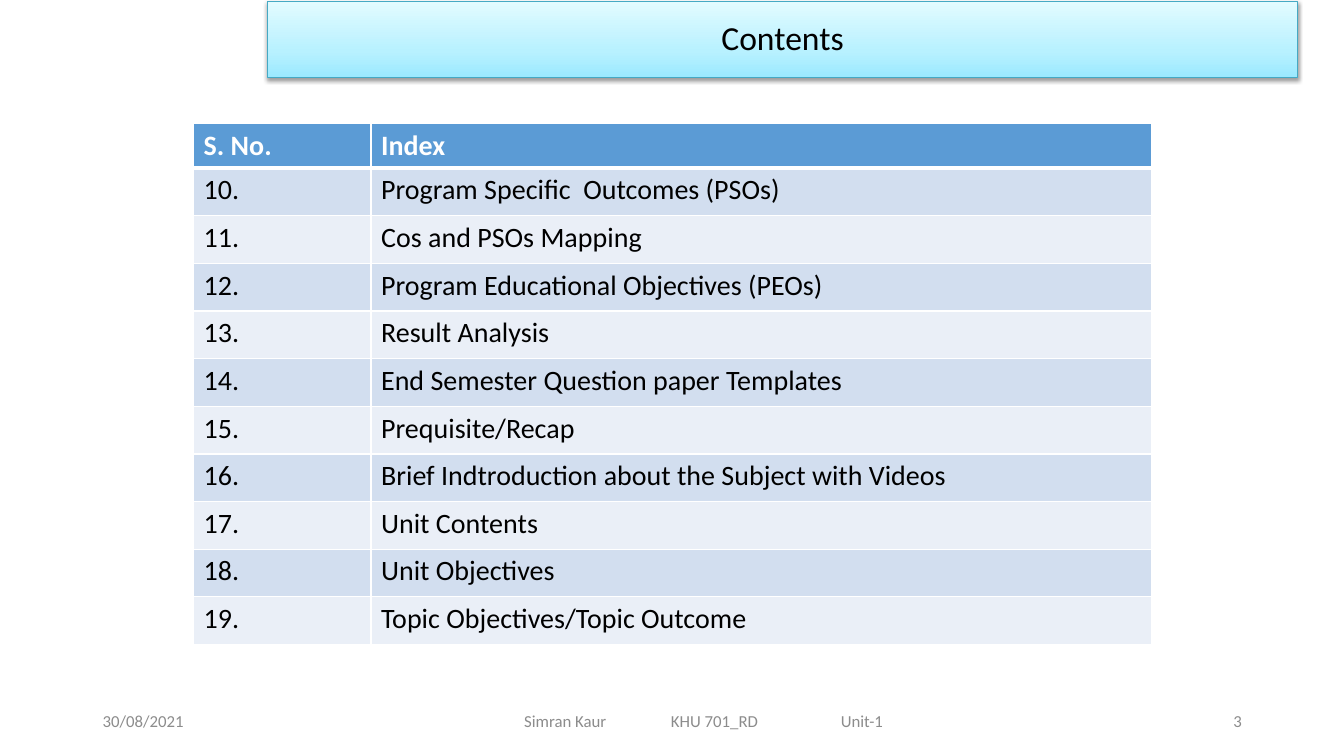
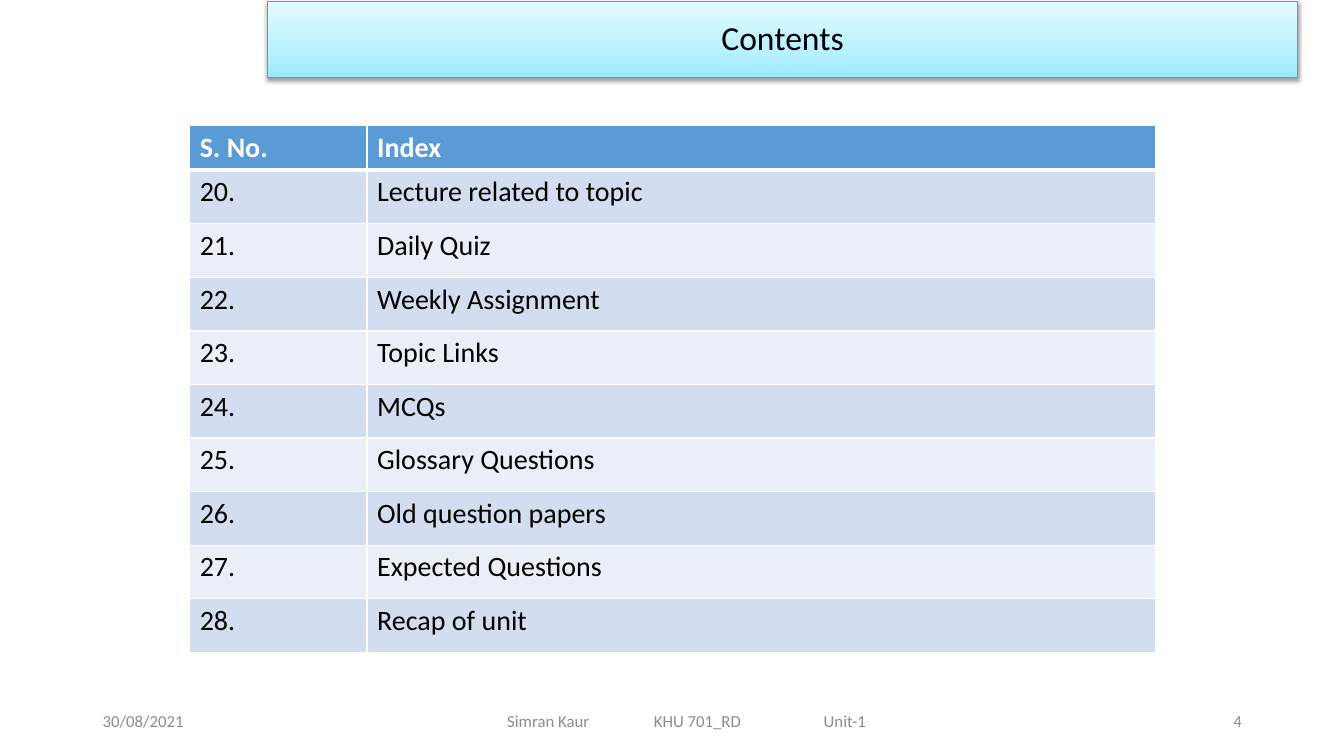
from pptx import Presentation
from pptx.dml.color import RGBColor
from pptx.enum.text import MSO_ANCHOR, MSO_AUTO_SIZE, PP_ALIGN
from pptx.oxml import parse_xml
from pptx.oxml.ns import nsdecls
from pptx.util import Cm, Pt

LEFT, CENTER, RIGHT = PP_ALIGN.LEFT, PP_ALIGN.CENTER, PP_ALIGN.RIGHT
MIDDLE = MSO_ANCHOR.MIDDLE
NO_AUTOFIT = MSO_AUTO_SIZE.NONE

FONT = "Calibri"
WHITE = RGBColor(0xFF, 0xFF, 0xFF)
BLACK = RGBColor(0x00, 0x00, 0x00)
GRAY = RGBColor(0x8C, 0x8C, 0x8C)
HEADER_BLUE = RGBColor(0x5B, 0x9B, 0xD5)
ROW_FILLS = (RGBColor(0xD2, 0xDE, 0xEF), RGBColor(0xEA, 0xEF, 0xF7))
BAND_EDGE = RGBColor(0x45, 0xA9, 0xC4)
BAND_STOPS = (
    (0, RGBColor(0x9B, 0xE9, 0xFF)),
    (35, RGBColor(0xB8, 0xF1, 0xFF)),
    (100, RGBColor(0xE2, 0xFB, 0xFF)),
)

TITLE = "Contents"
HEADINGS = ("S. No.", "Index")
DATE = "30/08/2021"
FOOTER_PARTS = ("Simran Kaur", "KHU 701_RD", "Unit-1")
FOOTER_TABS = (Cm(3.7), Cm(7.98))
FOOTER_INDENT = Cm(4.32)
NUMBER_COLUMN = Cm(4.47)

PAGES = [
    {
        "page": 3,
        "first_number": 10,
        "topics": [
            "Program Specific  Outcomes (PSOs)",
            "Cos and PSOs Mapping",
            "Program Educational Objectives (PEOs)",
            "Result Analysis",
            "End Semester Question paper Templates",
            "Prequisite/Recap",
            "Brief Indtroduction about the Subject with Videos",
            "Unit Contents",
            "Unit Objectives",
            "Topic Objectives/Topic Outcome",
        ],
        "table": (Cm(4.88), Cm(3.12), Cm(24.13)),
        "row_heights": (Cm(1.1), Cm(1.2)),
        "footer": (Cm(8.89), Cm(17.78)),
    },
    {
        "page": 4,
        "first_number": 20,
        "topics": [
            "Lecture related to topic",
            "Daily Quiz",
            "Weekly Assignment",
            "Topic Links",
            "MCQs",
            "Glossary Questions",
            "Old question papers",
            "Expected Questions",
            "Recap of unit",
        ],
        "table": (Cm(4.78), Cm(3.16), Cm(24.33)),
        "row_heights": (Cm(1.13), Cm(1.35)),
        "footer": (Cm(8.46), Cm(17.58)),
    },
]


def add_run(paragraph, text, size, color, bold=False):
    run = paragraph.add_run()
    run.text = text
    run.font.name = FONT
    run.font.size = Pt(size)
    run.font.color.rgb = color
    run.font.bold = bold


def style_title(title):
    title.left, title.top, title.width, title.height = Cm(6.73), Cm(0.04), Cm(25.98), Cm(1.92)
    stops = "".join(
        f'<a:gs pos="{position * 1000}"><a:srgbClr val="{color}"/></a:gs>'
        for position, color in BAND_STOPS
    )
    properties = title.element.spPr
    properties.append(parse_xml(
        f'<a:gradFill {nsdecls("a")} rotWithShape="1"><a:gsLst>{stops}</a:gsLst>'
        '<a:lin ang="16200000" scaled="0"/></a:gradFill>'
    ))
    title.line.color.rgb = BAND_EDGE
    title.line.width = Pt(0.75)
    properties.append(parse_xml(
        f'<a:effectLst {nsdecls("a")}><a:outerShdw blurRad="40000" dist="20000" '
        'dir="5400000" rotWithShape="0"><a:srgbClr val="000000">'
        '<a:alpha val="38000"/></a:srgbClr></a:outerShdw></a:effectLst>'
    ))
    frame = title.text_frame
    frame.auto_size = NO_AUTOFIT
    frame.vertical_anchor = MIDDLE
    paragraph = frame.paragraphs[0]
    paragraph.alignment = CENTER
    paragraph.line_spacing = 0.9
    add_run(paragraph, TITLE, 24, BLACK)


def set_borders(cell, top, bottom):
    properties = cell._tc.get_or_add_tcPr()
    for index, (side, points) in enumerate((("L", 1), ("R", 1), ("T", top), ("B", bottom))):
        properties.insert(index, parse_xml(
            f'<a:ln{side} {nsdecls("a")} w="{Pt(points)}"><a:solidFill>'
            f'<a:srgbClr val="{WHITE}"/></a:solidFill></a:ln{side}>'
        ))


def add_index_table(slide, page):
    numbered = [
        (f"{number}.", topic)
        for number, topic in enumerate(page["topics"], page["first_number"])
    ]
    rows = [HEADINGS] + numbered
    left, top, width = page["table"]
    header_height, row_height = page["row_heights"]
    height = header_height + row_height * len(numbered)
    table = slide.shapes.add_table(len(rows), len(HEADINGS), left, top, width, height).table
    table.columns[0].width = NUMBER_COLUMN
    table.columns[1].width = width - NUMBER_COLUMN
    for index, texts in enumerate(rows):
        is_header = index == 0
        table.rows[index].height = header_height if is_header else row_height
        for column, text in enumerate(texts):
            cell = table.cell(index, column)
            cell.fill.solid()
            cell.fill.fore_color.rgb = HEADER_BLUE if is_header else ROW_FILLS[(index - 1) % 2]
            set_borders(cell, 3 if index == 1 else 1, 3 if is_header else 1)
            add_run(cell.text_frame.paragraphs[0], text, 20,
                    WHITE if is_header else BLACK, is_header)


def add_footer_text(slide, text, left, width, alignment, indent=None, tabs=()):
    frame = slide.shapes.add_textbox(left, Cm(17.65), width, Cm(1.02)).text_frame
    frame.word_wrap = True
    frame.vertical_anchor = MIDDLE
    if indent is not None:
        frame.margin_left = indent
    paragraph = frame.paragraphs[0]
    paragraph.alignment = alignment
    if tabs:
        stops = "".join(f'<a:tab pos="{position}" algn="l"/>' for position in tabs)
        paragraph._p.get_or_add_pPr().append(
            parse_xml(f'<a:tabLst {nsdecls("a")}>{stops}</a:tabLst>'))
    add_run(paragraph, text, 12, GRAY)


def add_contents_slide(presentation, page):
    slide = presentation.slides.add_slide(presentation.slide_layouts[5])
    style_title(slide.shapes.title)
    add_index_table(slide, page)
    add_footer_text(slide, str(page["page"]), Cm(23.93), Cm(7.62), RIGHT)
    add_footer_text(slide, DATE, Cm(2.34), Cm(7.62), LEFT)
    add_footer_text(slide, "\t".join(FOOTER_PARTS), *page["footer"], LEFT,
                    FOOTER_INDENT, FOOTER_TABS)


def main():
    presentation = Presentation()
    presentation.slide_width, presentation.slide_height = Cm(33.87), Cm(19.05)
    for page in PAGES:
        add_contents_slide(presentation, page)
    presentation.save("out.pptx")


if __name__ == "__main__":
    main()
